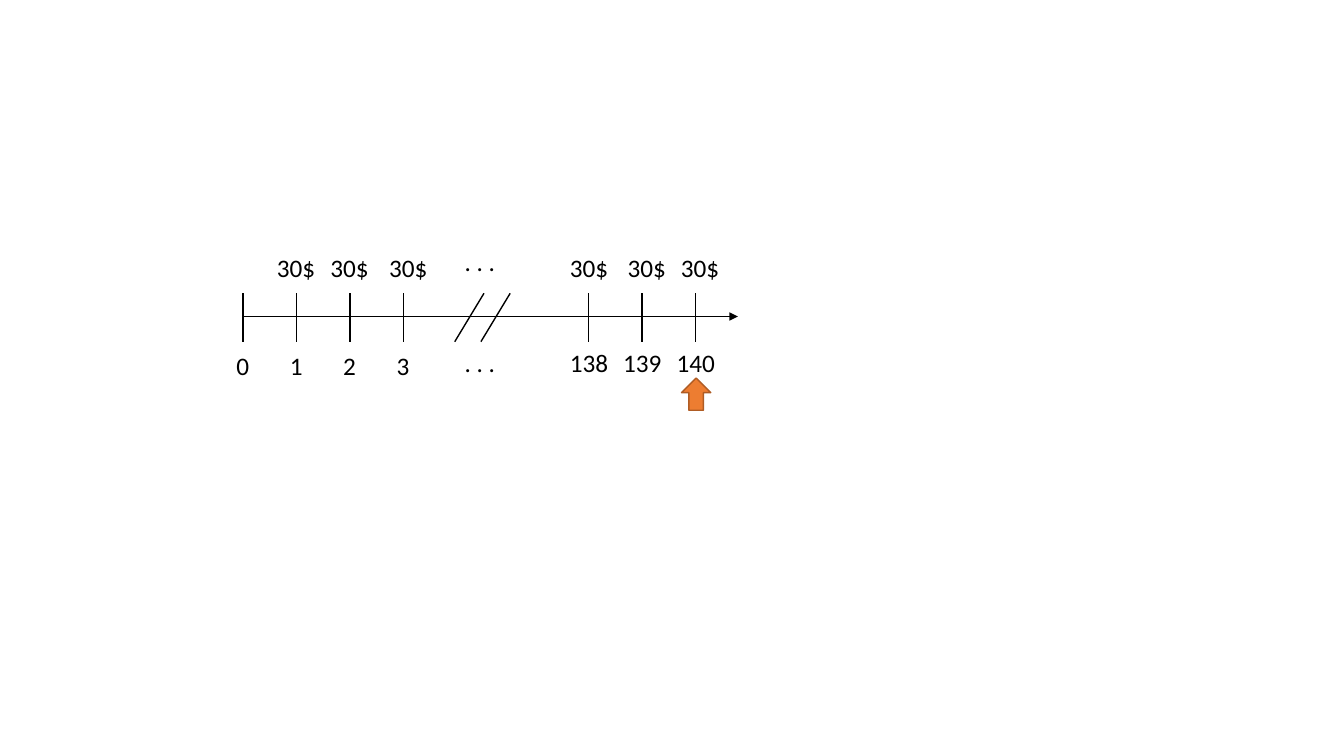
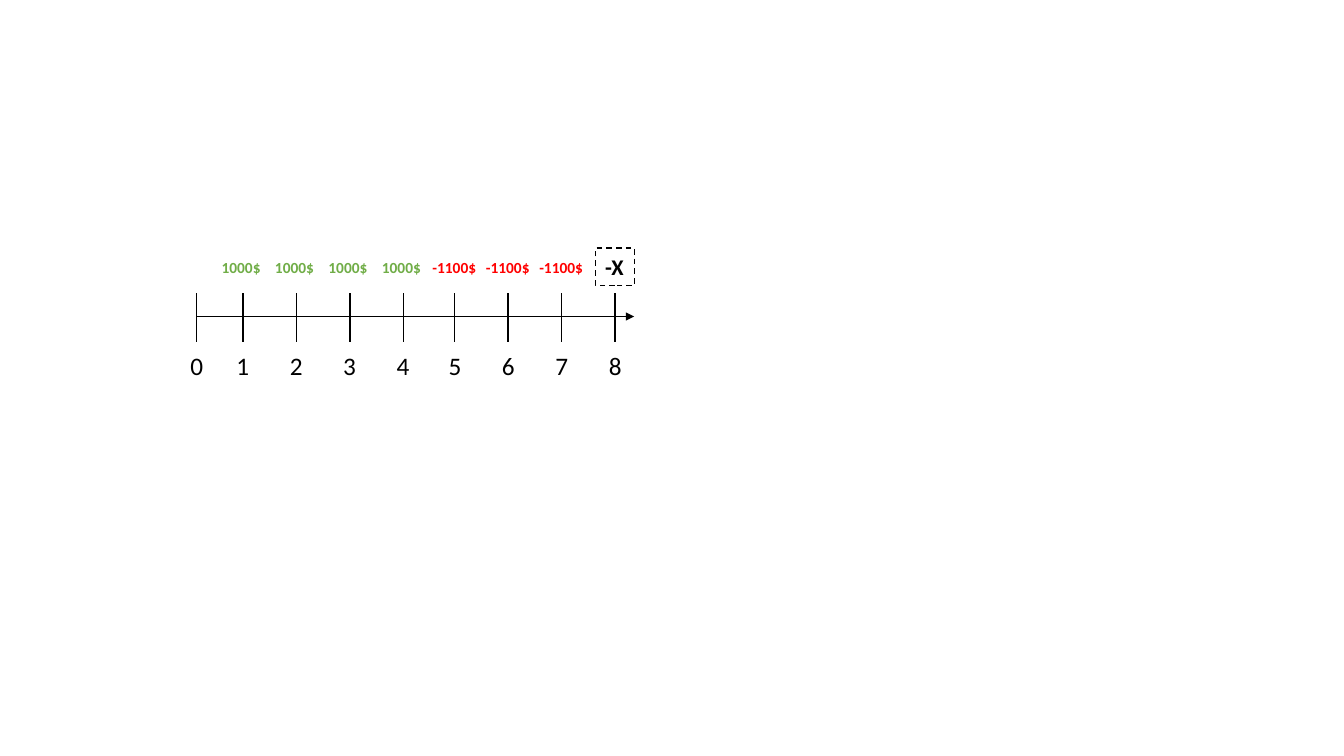
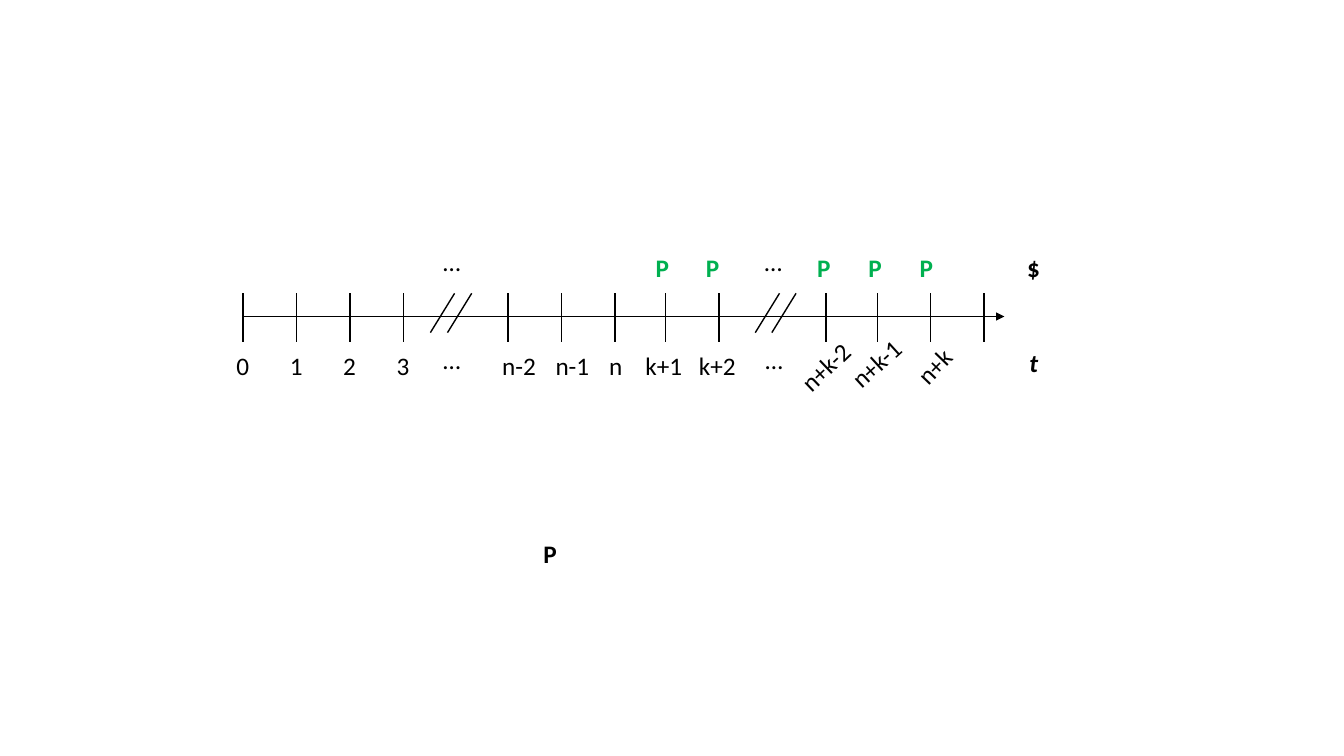
from dataclasses import dataclass

from lxml import etree
from pptx import Presentation
from pptx import util as u
from pptx.dml.color import RGBColor
from pptx.enum import dml, shapes, text
from pptx.oxml import ns

# Content: columns count tick spacings from the first full tick.
# Runs of ticks are (first column, count).
# Labels are (first column, row, style, texts, optional angle).
TIMELINES = [
    {
        "axis": (0, 9.26),
        "ticks": [(0, 4), (6.47, 3)],
        "breaks": [4.51, 5.0],
        "break_size": (0.29, 0.48),
        "labels": [
            (0, "date", "plain", ["0", "1", "2", "3"]),
            (4.49, "date_high", "plain", [". . . "]),
            (6.48, "date_high", "plain", ["138", "139", "140"]),
            (1, "flow", "plain", ["30$", "30$"]),
            (3.1, "flow", "plain", ["30$"]),
            (4.49, "flow_high", "plain", [". . . "]),
            (6.48, "flow", "plain", ["30$"]),
            (7.56, "flow", "plain", ["30$", "30$"]),
        ],
        "pointer": 8.48,
    },
    {
        "axis": (-0.87, 7.32),
        "ticks": [(-0.87, 1), (0, 4), (3.96, 4)],
        "labels": [
            (-0.86, "date", "plain", ["0"]),
            (0, "date", "plain", ["1", "2", "3", "4"]),
            (3.97, "date", "plain", ["5", "6", "7", "8"]),
            (-0.03, "flow_small", "deposit", ["1000$"] * 4),
            (3.96, "flow_small", "withdrawal", ["-1100$"] * 3),
        ],
        "unknown": (6.96, "-X"),
    },
    {
        "axis": (0, 14.25),
        "ticks": [(0, 4), (4.96, 3), (7.91, 2), (10.91, 1), (11.87, 3)],
        "breaks": [3.96, 4.28, 10.04, 10.35],
        "break_size": (0.24, 0.39),
        "labels": [
            (0, "date", "plain", ["0", "1", "2", "3"]),
            (3.91, "dots_low", "plain", ["…"]),
            (5.17, "date", "plain", ["n-2", "n-1"]),
            (6.98, "date", "plain", ["n"]),
            (7.88, "date", "plain", ["k+1", "k+2"]),
            (9.94, "dots_low", "plain", ["…"]),
            (10.91, "date", "plain", ["n+k-2"], 316.4),
            (11.86, "date_high", "plain", ["n+k-1"], 317.7),
            (12.94, "date", "plain", ["n+k"], 313.9),
            (3.91, "flow_high", "plain", ["…"]),
            (9.93, "flow_high", "plain", ["…"]),
            (7.85, "flow", "payment", ["P"]),
            (8.79, "flow", "payment", ["P"]),
            (10.87, "flow", "payment", ["P"]),
            (11.83, "flow", "payment", ["P"]),
            (12.79, "flow", "payment", ["P"]),
            (14.8, "flow", "strong", ["$"]),
            (14.8, "date_high", "variable", ["t"]),
            (5.75, "note", "strong", ["P"]),
        ],
    },
]


# Theme
@dataclass(frozen=True)
class Style:
    size: int = 18
    color: str = "000000"
    bold: bool = False
    italic: bool = False


class Theme:
    font = "Calibri"
    ink, paper = "000000", "FFFFFF"
    accent, accent_edge = "ED7D31", "AF5C24"
    line_width = u.Pt(1)
    styles = {
        "plain": Style(),
        "strong": Style(bold=True),
        "variable": Style(bold=True, italic=True),
        "payment": Style(color="00B050", bold=True),
        "deposit": Style(size=11, color="70AD47", bold=True),
        "withdrawal": Style(size=11, color="FF0000", bold=True),
        "unknown": Style(size=16, bold=True),
    }


# Grid, in inches
SLIDE_SIZE = (13.33, 7.5)
ORIGIN, COLUMN = 2.41, 0.53
AXIS_Y, TICK_TOP, TICK_BOTTOM = 3.14, 2.91, 3.39
ROWS = {"flow_high": 2.39, "flow": 2.45, "flow_small": 2.51, "unknown": 2.46,
        "dots_low": 3.37, "date_high": 3.4, "date": 3.43,
        "pointer": 3.75, "note": 5.29}
INSET_X, INSET_Y = 0.1, 0.05

# Character widths in ems; figures and the dollar sign share the default
DEFAULT_EM = 0.51
EMS = {".": 0.25, " ": 0.23, "-": 0.31, "+": 0.5, "n": 0.53, "k": 0.46,
       "P": 0.53, "t": 0.35, "…": 0.69, "X": 0.54}
LINE_EM = 1.22


def column_x(column):
    return ORIGIN + column * COLUMN


def text_size(words, style):
    em = style.size / 72
    width = sum(EMS.get(letter, DEFAULT_EM) for letter in words) * em
    return width + 2 * INSET_X, LINE_EM * em + 2 * INSET_Y


def color(value):
    return RGBColor.from_string(value)


def write(box, words, style):
    frame = box.text_frame
    frame.text = words
    frame.word_wrap = False
    frame.auto_size = text.MSO_AUTO_SIZE.SHAPE_TO_FIT_TEXT
    font = frame.paragraphs[0].runs[0].font
    font.name, font.size = Theme.font, u.Pt(style.size)
    font.bold, font.italic = style.bold, style.italic
    font.color.rgb = color(style.color)


def add_label(page, column, row, style_name, words, angle=0):
    style = Theme.styles[style_name]
    width, height = text_size(words, style)
    box = page.shapes.add_textbox(
        u.Inches(column_x(column) - width / 2), u.Inches(ROWS[row]),
        u.Inches(width), u.Inches(height))
    box.rotation = angle
    write(box, words, style)


def add_line(page, start, end, arrow=False):
    line = page.shapes.add_connector(
        shapes.MSO_CONNECTOR.STRAIGHT, *map(u.Inches, start + end))
    line.line.color.rgb = color(Theme.ink)
    line.line.width = Theme.line_width
    etree.SubElement(line._element.spPr, ns.qn("a:effectLst"))
    if arrow:
        head = etree.SubElement(line.line._get_or_add_ln(), ns.qn("a:tailEnd"))
        head.set("type", "triangle")


def add_marker(page, kind, column, row, size, fill, edge):
    width, height = size
    marker = page.shapes.add_shape(
        kind, u.Inches(column_x(column) - width / 2), u.Inches(ROWS[row]),
        u.Inches(width), u.Inches(height))
    marker.shadow.inherit = False
    marker.fill.solid()
    marker.fill.fore_color.rgb = color(fill)
    marker.line.color.rgb = color(edge)
    marker.line.width = Theme.line_width
    return marker


def draw_timeline(page, timeline):
    # Axis, ticks and breaks
    first, last = map(column_x, timeline["axis"])
    add_line(page, (first, AXIS_Y), (last, AXIS_Y), arrow=True)
    for start, count in timeline["ticks"]:
        for step in range(count):
            x = column_x(start + step)
            add_line(page, (x, TICK_TOP), (x, TICK_BOTTOM))
    for column in timeline.get("breaks", []):
        x, (run, drop) = column_x(column), timeline["break_size"]
        add_line(page, (x, TICK_TOP), (x - run, TICK_TOP + drop))

    # Dates and cash flows
    for start, row, style_name, words, *angle in timeline["labels"]:
        for step, word in enumerate(words):
            add_label(page, start + step, row, style_name, word, *angle)

    # Highlights
    if "pointer" in timeline:
        add_marker(page, shapes.MSO_SHAPE.UP_ARROW, timeline["pointer"],
                   "pointer", (0.29, 0.32), Theme.accent, Theme.accent_edge)
    if "unknown" in timeline:
        column, words = timeline["unknown"]
        style = Theme.styles["unknown"]
        box = add_marker(page, shapes.MSO_SHAPE.RECTANGLE, column, "unknown",
                         text_size(words, style), Theme.paper, Theme.ink)
        box.line.dash_style = dml.MSO_LINE.DASH
        write(box, words, style)


# Build
deck = Presentation()
deck.slide_width, deck.slide_height = map(u.Inches, SLIDE_SIZE)
for timeline in TIMELINES:
    draw_timeline(deck.slides.add_slide(deck.slide_layouts[6]), timeline)
deck.save("out.pptx")
